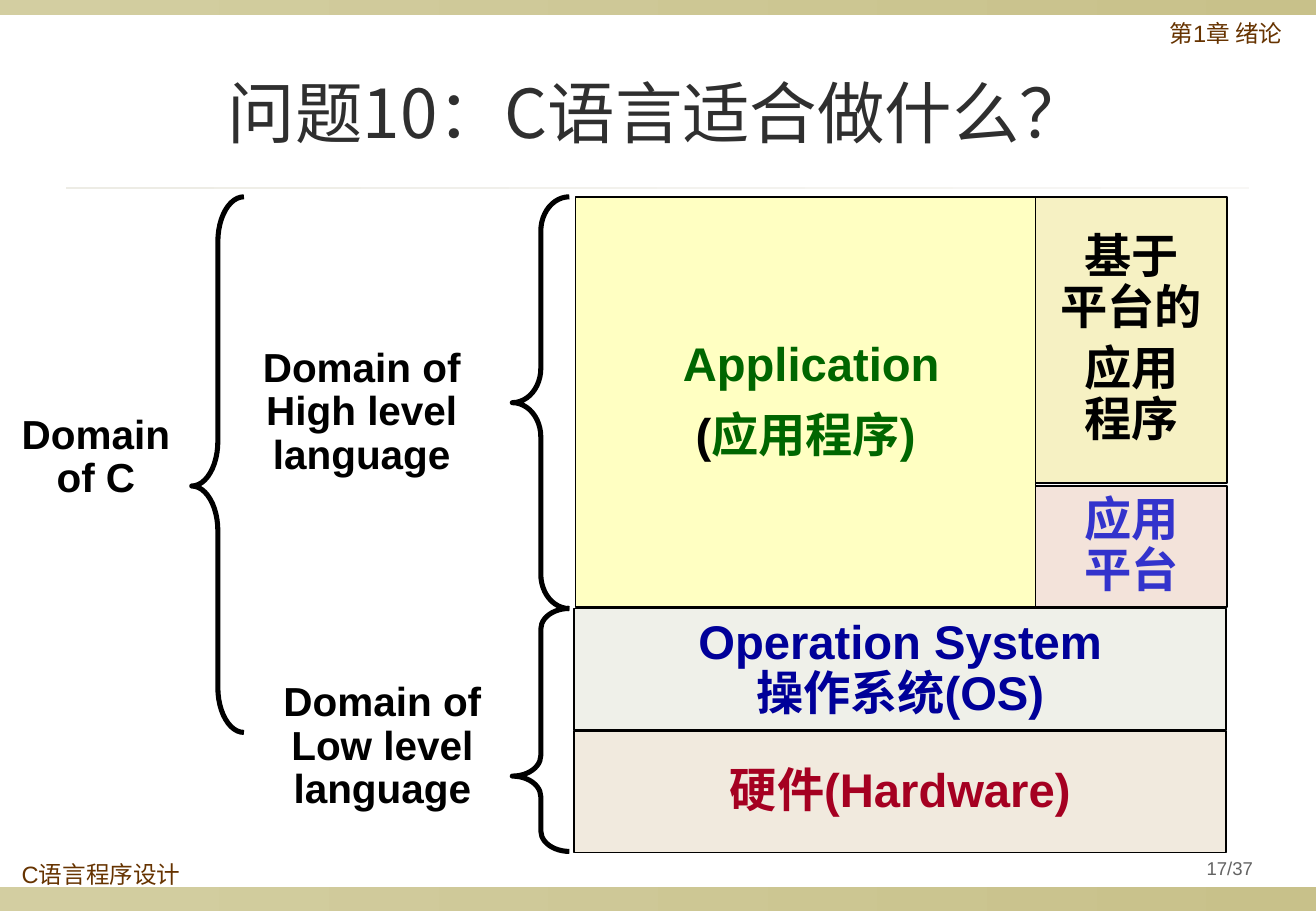
from lxml import etree
from pptx import Presentation
from pptx.dml.color import RGBColor
from pptx.enum.shapes import MSO_SHAPE
from pptx.enum.text import MSO_ANCHOR, PP_ALIGN
from pptx.oxml.ns import qn
from pptx.util import Inches, Pt

LATIN = "Arial"
CJK = "Noto Sans CJK SC"
COLORS = {
    "bar_left": "D3CEA1", "bar_right": "C8C18A",
    "rule_left": "EDECE5", "rule_right": "F8F7F5",
    "brown": "663300", "title": "2F2F2F", "page": "636363", "black": "000000",
    "red": "A50021", "navy": "000099", "green": "006600", "blue": "3333CC",
    "hardware": "F1EADE", "system": "EFF0E9", "application": "FFFFC2",
    "platform": "F3E3DA", "platform_app": "F6F1C3",
}

prs = Presentation()
prs.slide_width, prs.slide_height = Inches(10.84), Inches(7.5)
s = prs.slides.add_slide(prs.slide_layouts[6])


def rgb(name):
    return RGBColor.from_string(COLORS[name])


def write(sp, paragraphs, size, bold=True, align=PP_ALIGN.CENTER,
          anchor=MSO_ANCHOR.MIDDLE, wrap=True, spacing=0.9, before=0, after=0):
    tf = sp.text_frame
    tf.word_wrap = wrap
    tf.vertical_anchor = anchor
    for i, runs in enumerate(paragraphs):
        p = tf.paragraphs[0] if i == 0 else tf.add_paragraph()
        p.alignment = align
        p.line_spacing = spacing
        p.space_before, p.space_after = Pt(before), Pt(after)
        for text, font, color in runs:
            for j, line in enumerate(text.split("\n")):
                if j:
                    p.add_line_break()
                r = p.add_run()
                r.text = line
                r.font.size = Pt(size)
                r.font.bold = bold
                r.font.name = font
                r.font.color.rgb = rgb(color)
                ea = etree.SubElement(r.font._element, qn("a:ea"))
                ea.set("typeface", CJK)


bands = [
    (0, 7.3, 10.84, 0.2, "bar"),
    (0, 0, 10.84, 0.12, "bar"),
    (0.54, 1.54, 9.75, 0.02, "rule"),
]
for x, y, w, h, name in bands:
    sp = s.shapes.add_shape(MSO_SHAPE.RECTANGLE, Inches(x), Inches(y), Inches(w), Inches(h))
    sp.shadow.inherit = False
    sp.line.fill.background()
    sp.fill.gradient()
    sp.fill.gradient_angle = 0
    for stop, side in zip(sp.fill.gradient_stops, ("left", "right")):
        stop.color.rgb = rgb(f"{name}_{side}")

blocks = [
    (4.73, 6.02, 5.37, 1, "hardware", 5.9, 5.9,
     [[("硬件", CJK, "red"), ("(Hardware)", LATIN, "red")]]),
    (4.73, 5.01, 5.37, 1, "system", 0, 0,
     [[("Operation System", LATIN, "navy")],
      [("操作系统", CJK, "navy"), ("(OS)", LATIN, "navy")]]),
    (4.74, 1.62, 3.79, 3.38, "application", 5.9, 5.9,
     [[(" Application", LATIN, "green")],
      [("(", LATIN, "black"), ("应用程序", CJK, "green"), (")", LATIN, "green")]]),
    (8.53, 4, 1.58, 1, "platform", 5.9, 5.9,
     [[("应用\n平台", CJK, "blue")]]),
    (8.53, 1.62, 1.58, 2.36, "platform_app", 5.9, 0,
     [[("基于\n平台的", CJK, "black")], [("应用\n程序", CJK, "black")]]),
]
for x, y, w, h, fill, before, after, paragraphs in blocks:
    sp = s.shapes.add_shape(MSO_SHAPE.RECTANGLE, Inches(x), Inches(y), Inches(w), Inches(h))
    sp.shadow.inherit = False
    sp.fill.solid()
    sp.fill.fore_color.rgb = rgb(fill)
    sp.line.color.rgb = rgb("black")
    sp.line.width = Pt(1)
    write(sp, paragraphs, 28, wrap=False, before=before, after=after)

braces = [
    (4.22, 5.01, 0.47, 2, 0.36, 0.69),
    (4.22, 1.62, 0.47, 3.39, 0.6, 0.5),
    (1.58, 1.62, 0.43, 4.41, 0.86, 0.54),
]
for x, y, w, h, curve, middle in braces:
    sp = s.shapes.add_shape(MSO_SHAPE.LEFT_BRACE, Inches(x), Inches(y), Inches(w), Inches(h))
    sp.shadow.inherit = False
    sp.adjustments[0], sp.adjustments[1] = curve, middle
    sp.fill.background()
    sp.line.color.rgb = rgb("black")
    sp.line.width = Pt(3)

domains = [
    (1.87, 5.56, 2.56, 1.18, "Domain of\nLow level\nlanguage"),
    (2, 2.81, 1.96, 1.18, "Domain of\nHigh level\nlanguage"),
    (0, 3.36, 1.58, 0.82, "Domain\nof C"),
]
for x, y, w, h, text in domains:
    sp = s.shapes.add_textbox(Inches(x), Inches(y), Inches(w), Inches(h))
    write(sp, [[(text, LATIN, "black")]], 24, anchor=MSO_ANCHOR.TOP, before=5.9, after=5.9)

labels = [
    (9.35, 0.13, 1.5, 0.63, "第1章 绪论", LATIN, "brown", 14, PP_ALIGN.CENTER, MSO_ANCHOR.TOP, 0.9),
    (0.08, 7.06, 2.35, 0.44, "C语言程序设计", LATIN, "brown", 14, PP_ALIGN.LEFT, MSO_ANCHOR.TOP, 0.9),
    (0.54, 0.29, 9.75, 1.25, "问题10：C语言适合做什么？", CJK, "title", 40, PP_ALIGN.CENTER, MSO_ANCHOR.MIDDLE, 1.0),
    (9.59, 7, 1.08, 0.31, "17/37", LATIN, "page", 11, PP_ALIGN.CENTER, MSO_ANCHOR.MIDDLE, 0.9),
]
for x, y, w, h, text, font, color, size, align, anchor, spacing in labels:
    sp = s.shapes.add_textbox(Inches(x), Inches(y), Inches(w), Inches(h))
    write(sp, [[(text, font, color)]], size, bold=False, align=align, anchor=anchor, spacing=spacing)

prs.save("out.pptx")
